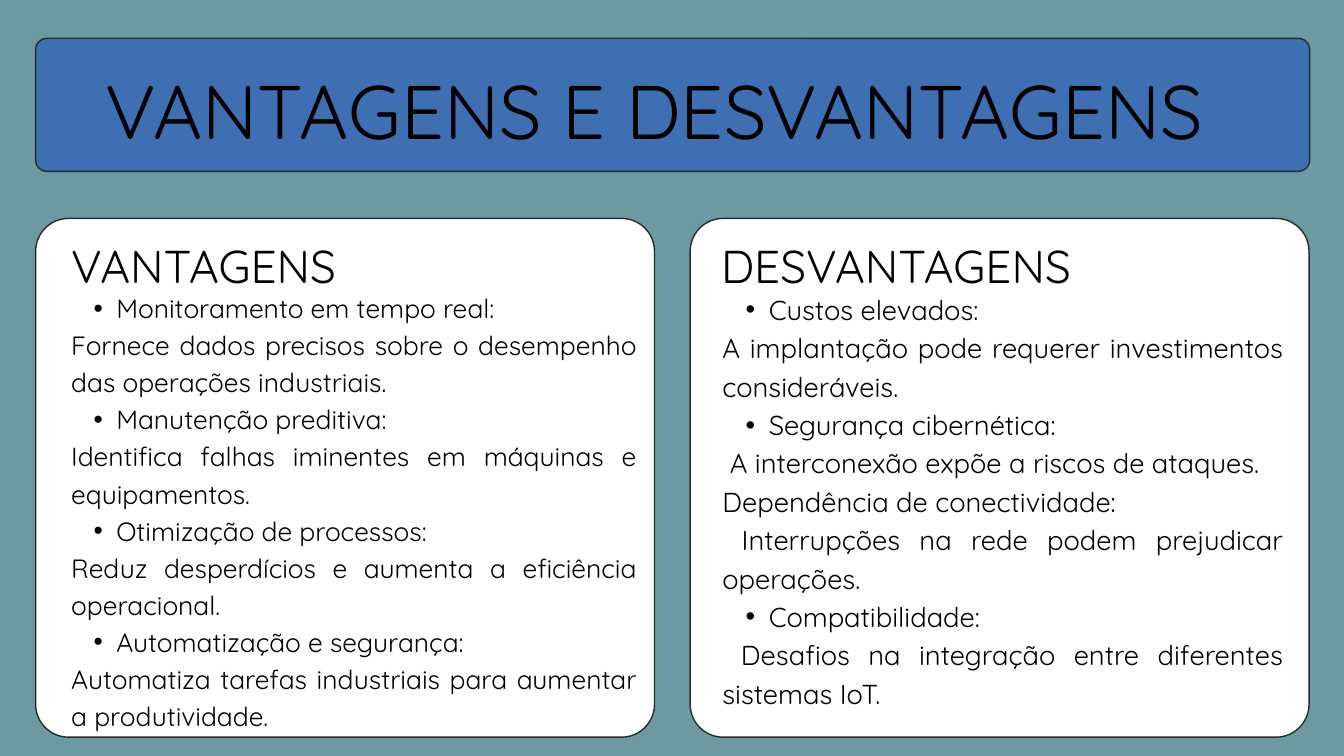
"""Build a slide that sets advantages beside disadvantages."""
from lxml import etree
from pptx import Presentation
from pptx import util as u
from pptx.dml.color import RGBColor
from pptx.enum import shapes, text
from pptx.oxml import ns

PX = 9144
FONT = "Quicksand"
COLORS = {"page": "6D9AA2", "banner": "3D6FB2", "card": "FFFFFF",
          "outline": "2B2B2B", "text": "000000"}
ADVANTAGES = [
    ("Monitoramento em tempo real:", True),
    ("Fornece dados precisos sobre o desempenho das operações industriais.", False),
    ("Manutenção preditiva:", True),
    ("Identifica falhas iminentes em máquinas e equipamentos.", False),
    ("Otimização de processos:", True),
    ("Reduz desperdícios e aumenta a eficiência operacional.", False),
    ("Automatização e segurança:", True),
    ("Automatiza tarefas industriais para aumentar a produtividade.", False),
]
DISADVANTAGES = [
    ("Custos elevados: ", True),
    ("A implantação pode requerer investimentos consideráveis.", False),
    ("Segurança cibernética:", True),
    (" A interconexão expõe a riscos de ataques.", False),
    ("Dependência de conectividade:", False),
    (" Interrupções na rede podem prejudicar operações.", False),
    ("Compatibilidade:", True),
    (" Desafios na integração entre diferentes sistemas IoT.", False),
]


def color(name):
    return RGBColor.from_string(COLORS[name])


def place(left, top, width, height):
    return [u.Emu(length * PX) for length in (left, top, width, height)]


def add_panel(page, area, fill, radius):
    panel = page.shapes.add_shape(shapes.MSO_SHAPE.ROUNDED_RECTANGLE, *place(*area))
    panel.adjustments[0] = radius / min(area[2:])
    panel.shadow.inherit = False
    panel.fill.solid()
    panel.fill.fore_color.rgb = color(fill)
    panel.line.color.rgb = color("outline")
    panel.line.width = u.Pt(1.5)


def add_bullet(para, indent):
    para.level = 1
    props = para._p.get_or_add_pPr()
    props.set("marL", str(indent * PX))
    props.set("indent", str(-indent * PX // 2))
    etree.SubElement(props, ns.qn("a:buFont"), typeface="Arial")
    etree.SubElement(props, ns.qn("a:buChar"), char="•")


def add_text(page, area, lines, *, size, leading, align=text.PP_ALIGN.LEFT, indent=0):
    box = page.shapes.add_textbox(*place(*area))
    frame = box.text_frame
    frame.word_wrap = True
    frame.auto_size = text.MSO_AUTO_SIZE.SHAPE_TO_FIT_TEXT
    frame.margin_left = frame.margin_right = frame.margin_top = frame.margin_bottom = 0
    for number, (words, bulleted) in enumerate(lines):
        para = frame.add_paragraph() if number else frame.paragraphs[0]
        para.alignment = align
        para.line_spacing = u.Pt(leading)
        if bulleted:
            add_bullet(para, indent)
        span = para.add_run()
        span.text = words
        span.font.name = FONT
        span.font.size = u.Pt(size)
        span.font.color.rgb = color("text")


def add_card(page, left, heading, heading_left, lines, body, **style):
    add_panel(page, (left, 325, 921, 772), "card", 49)
    add_text(page, (heading_left, 340, 815, 91), [(heading, False)], size=49.3, leading=69)
    add_text(page, body, lines, align=text.PP_ALIGN.JUSTIFY, **style)


def main():
    deck = Presentation()
    deck.slide_width, deck.slide_height = u.Emu(2000 * PX), u.Emu(1125 * PX)
    page = deck.slides.add_slide(deck.slide_layouts[6])
    page.background.fill.solid()
    page.background.fill.fore_color.rgb = color("page")

    add_panel(page, (53, 57, 1896, 198), "banner", 17)
    add_text(page, (126, 72, 1696, 151), [("VANTAGENS E DESVANTAGENS", False)],
             size=81.2, leading=113.6, align=text.PP_ALIGN.CENTER)
    add_card(page, 53, "VANTAGENS", 106, ADVANTAGES, (106, 427, 842, 702),
             size=28.3, leading=39.7, indent=67)
    add_card(page, 1027, "DESVANTAGENS", 1073, DISADVANTAGES, (1075, 428, 834, 673),
             size=29.3, leading=41.1, indent=69)
    deck.save("out.pptx")


if __name__ == "__main__":
    main()
